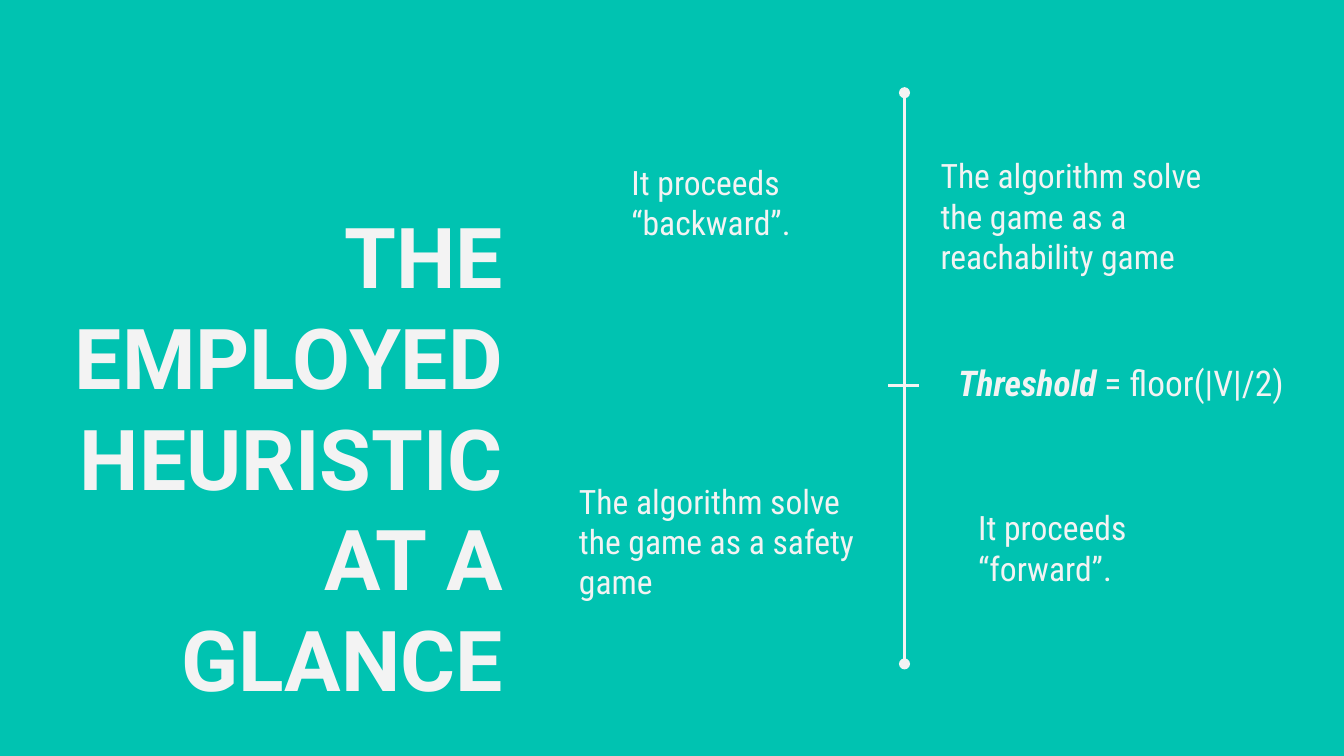
from lxml import etree
from pptx import Presentation
from pptx.dml.color import RGBColor
from pptx.enum.shapes import MSO_CONNECTOR
from pptx.enum.text import MSO_ANCHOR as ANCHOR, PP_ALIGN as ALIGN
from pptx.oxml.ns import qn
from pptx.util import Inches, Pt

COLORS = {"background": "00C3B1", "ink": "F3F3F3"}
TITLE_FONT, BODY_FONT = "Roboto", "Roboto Condensed"


class Deck:
    """Holds the style and the current slide."""

    def __init__(self, width, height):
        self.prs = Presentation()
        self.prs.slide_width, self.prs.slide_height = Inches(width), Inches(height)
        self.ink = RGBColor.from_string(COLORS["ink"])

    def new_slide(self):
        self.s = self.prs.slides.add_slide(self.prs.slide_layouts[6])
        fill = self.s.background.fill
        fill.solid()
        fill.fore_color.rgb = RGBColor.from_string(COLORS["background"])

    def text(self, box, runs, font=BODY_FONT, size=18,
             anchor=ANCHOR.MIDDLE, align=ALIGN.LEFT):
        """Add one paragraph; runs are (text, extra font values) pairs."""
        tf = self.s.shapes.add_textbox(*map(Inches, box)).text_frame
        frame = {"word_wrap": True, "vertical_anchor": anchor}
        for side in ("left", "top", "right", "bottom"):
            frame[f"margin_{side}"] = Inches(0.1)
        for name, value in frame.items():
            setattr(tf, name, value)
        p = tf.paragraphs[0]
        p.alignment = align
        for words, extra in runs:
            r = p.add_run()
            r.text = words
            for name, value in {"name": font, "size": Pt(size), **extra}.items():
                setattr(r.font, name, value)
            r.font.color.rgb = self.ink

    def line(self, start, end, dots=False):
        sp = self.s.shapes.add_connector(
            MSO_CONNECTOR.STRAIGHT, *map(Inches, (*start, *end)))
        sp.line.color.rgb = self.ink
        sp.line.width = Pt(1.5)
        if dots:
            ln = sp.line._get_or_add_ln()
            for tag in ("a:headEnd", "a:tailEnd"):
                etree.SubElement(ln, qn(tag), type="oval")
        etree.SubElement(sp._element.spPr, qn("a:effectLst"))


def main():
    width = 10
    deck = Deck(width, width * 9 / 16)
    deck.new_slide()

    # Title
    deck.text((0.36, 1.42, 3.48, 1.98),
              [("THE EMPLOYED HEURISTIC AT A GLANCE", {"bold": True})],
              font=TITLE_FONT, size=45, anchor=ANCHOR.TOP, align=ALIGN.RIGHT)

    # Axis with the threshold tick
    axis_x, tick_y = 6.73, 2.87
    deck.line((axis_x, 0.69), (axis_x, 4.94), dots=True)
    deck.line((axis_x - 0.12, tick_y), (axis_x + 0.11, tick_y))
    deck.text((7.03, 2.59, 2.88, 0.28),
              [("Threshold", {"bold": True, "italic": True}),
               (" = floor(|V|/2)", {})],
              size=19, anchor=ANCHOR.TOP)

    # Notes on both sides of the axis
    for box, words in (
        ((4.6, 1.26, 1.88, 0.49), "It proceeds “backward”."),
        ((6.9, 1.26, 2.26, 0.69), "The algorithm solve the game as a reachability game"),
        ((4.21, 3.68, 2.26, 0.69), "The algorithm solve the game as a safety game"),
        ((7.18, 3.73, 2.26, 0.69), "It proceeds “forward”."),
    ):
        deck.text(box, [(words, {})])

    deck.prs.save("out.pptx")


if __name__ == "__main__":
    main()
